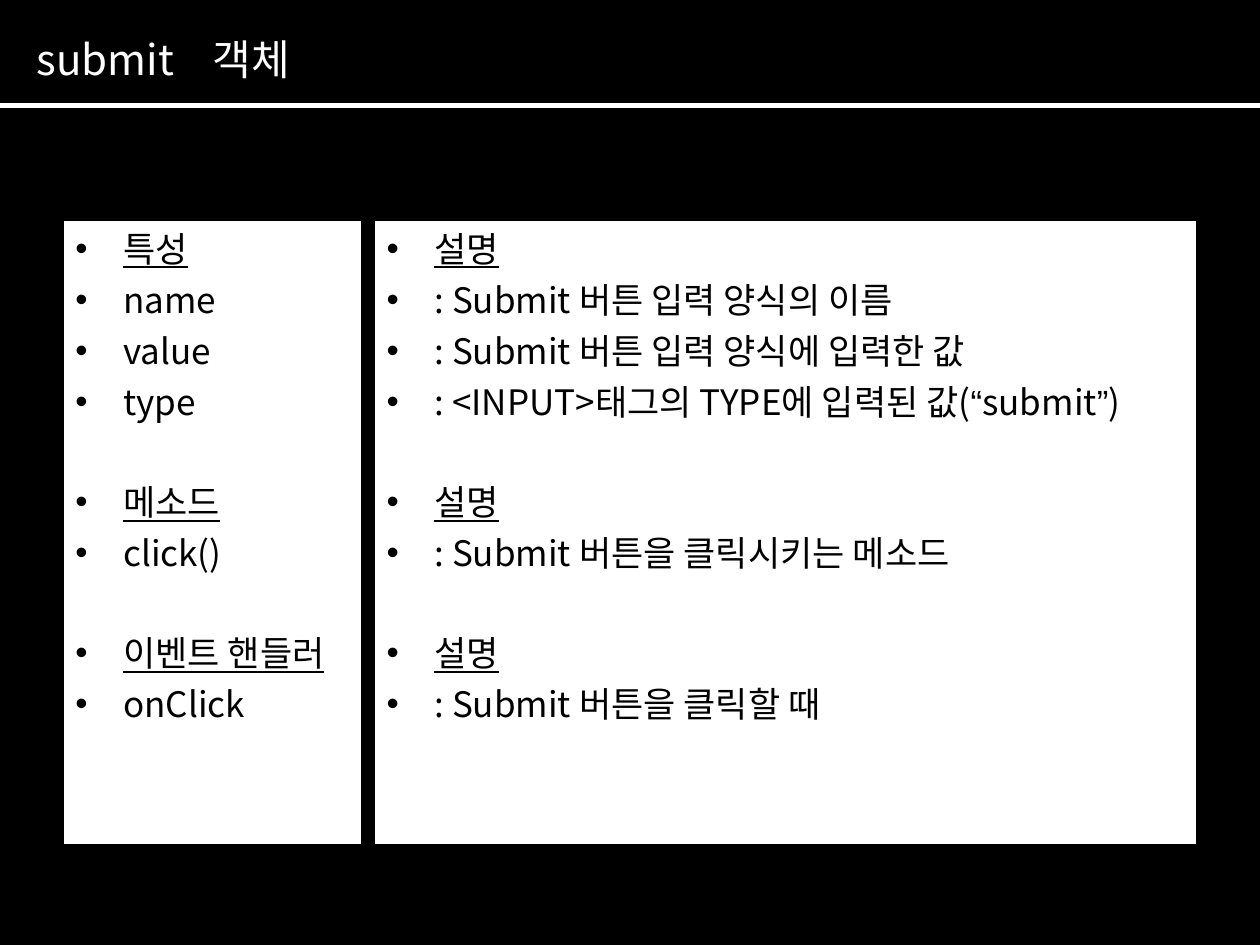
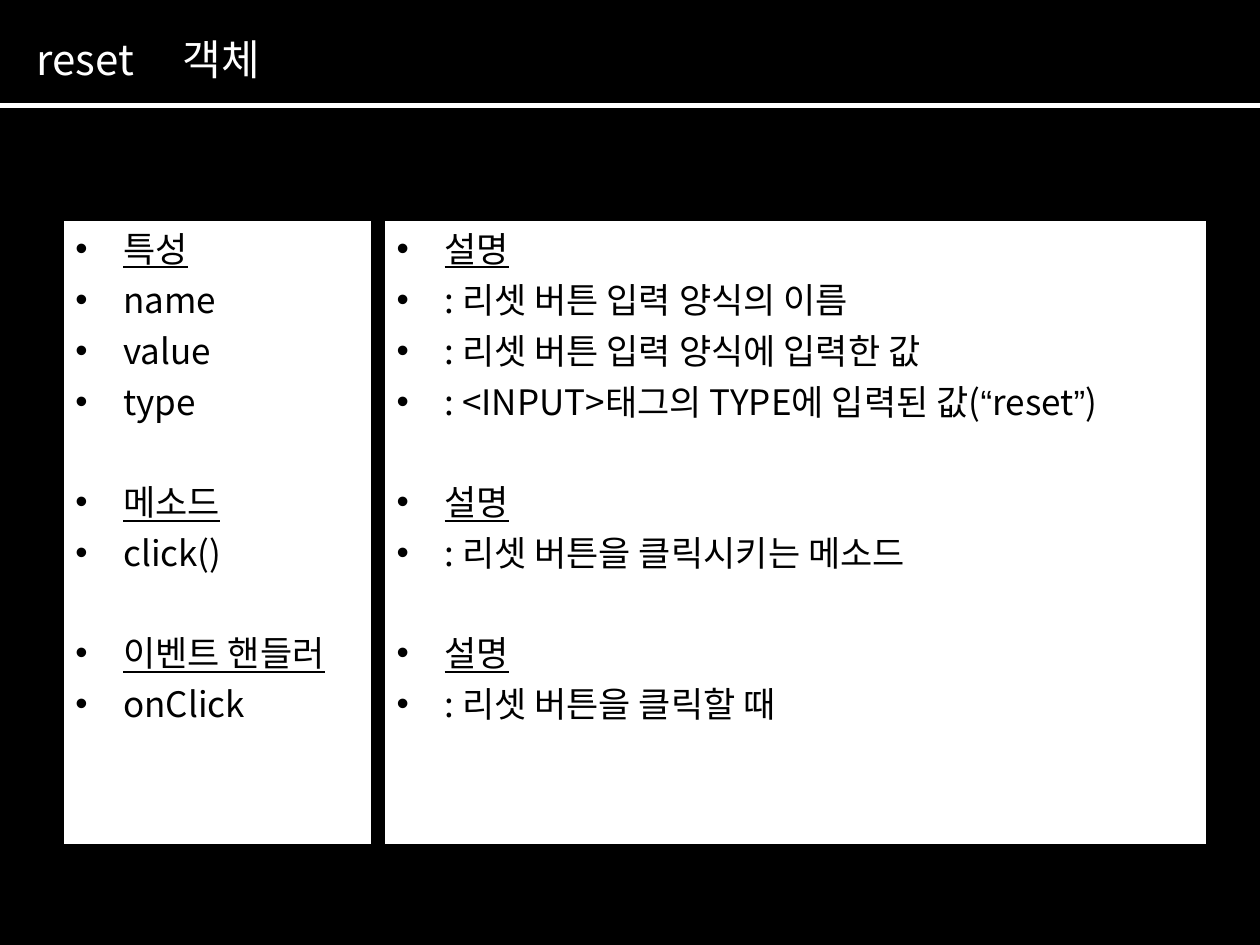
from itertools import groupby

from lxml import etree
from pptx import Presentation
from pptx import util as u
from pptx.dml.color import RGBColor
from pptx.enum import shapes, text
from pptx.oxml.ns import qn

WIDTH, HEIGHT = 10, 7.5
BLACK, WHITE = "000000", "FFFFFF"
FONT, QUOTE_FONT = "Noto Sans CJK KR", "Arial"
QUOTES = "“”"
TITLE_SIZE, BODY_SIZE = 24, 20
LINE_HEIGHT = 1.21          # line pitch as a share of the text size
ROW_GAP, SECTION_GAP = 5, 33  # points before a row, before a new section
INDENT = 0.38
TITLE_BOX = (0.19, 0.21, 7.64, 0.5)
RULE_TOP = 0.84
PANEL_LEFT, PANEL_TOP, PANEL_HEIGHT = 0.5, 1.75, 4.95
PANEL_GAP, DESCRIPTION_WIDTH = 0.1, 6.53

# Each section is a heading followed by its rows
MEMBERS = [
    ["특성", "name", "value", "type"],
    ["메소드", "click()"],
    ["이벤트 핸들러", "onClick"],
]


def color(value):
    return RGBColor.from_string(value)


def add_runs(para, words, size, ink, underline=False):
    """Add words run by run, with the curly quotes in their own font."""
    for is_quote, letters in groupby(words, lambda letter: letter in QUOTES):
        span = para.add_run()
        span.text = "".join(letters)
        font = span.font
        font.name = QUOTE_FONT if is_quote else FONT
        font.size = u.Pt(size)
        font.underline = underline
        font.color.rgb = color(ink)
        if not is_quote:
            east_asian = etree.SubElement(span._r.get_or_add_rPr(), qn("a:ea"))
            east_asian.set("typeface", FONT)
    para.line_spacing = u.Pt(size * LINE_HEIGHT)


def add_bullet(para):
    props = para._p.get_or_add_pPr()
    props.set("marL", str(u.Inches(INDENT)))
    props.set("indent", str(-u.Inches(INDENT)))
    for tag, key, value in (("a:buFont", "typeface", QUOTE_FONT),
                            ("a:buChar", "char", "•")):
        etree.SubElement(props, qn(tag)).set(key, value)


def add_tab_stop(para, place):
    stops = etree.SubElement(para._p.get_or_add_pPr(), qn("a:tabLst"))
    stop = etree.SubElement(stops, qn("a:tab"))
    stop.set("pos", str(u.Inches(place)))
    stop.set("algn", "l")


def prepare_frame(frame):
    frame.word_wrap = True
    frame.auto_size = text.MSO_AUTO_SIZE.NONE
    frame.vertical_anchor = text.MSO_ANCHOR.TOP
    frame.margin_left = frame.margin_right = u.Inches(0.1)
    frame.margin_top = frame.margin_bottom = u.Inches(0.05)


def add_header(page, name, tab_place):
    """Title and the rule below it."""
    title = page.shapes.title
    title.left, title.top, title.width, title.height = map(u.Inches, TITLE_BOX)
    prepare_frame(title.text_frame)
    para = title.text_frame.paragraphs[0]
    add_tab_stop(para, tab_place)
    para.alignment = text.PP_ALIGN.LEFT
    add_runs(para, f"{name}\t객체", TITLE_SIZE, WHITE)

    rule = page.shapes.add_connector(
        shapes.MSO_CONNECTOR.STRAIGHT,
        0, u.Inches(RULE_TOP), u.Inches(WIDTH), u.Inches(RULE_TOP))
    rule.line.color.rgb = color(WHITE)
    rule.line.width = u.Pt(3)
    etree.SubElement(rule._element.spPr, qn("a:effectLst"))


def add_panel(page, left, width, sections):
    """White panel of bulleted sections with underlined headings."""
    panel = page.shapes.add_shape(
        shapes.MSO_SHAPE.RECTANGLE,
        *map(u.Inches, (left, PANEL_TOP, width, PANEL_HEIGHT)))
    panel.shadow.inherit = False
    panel.fill.solid()
    panel.fill.fore_color.rgb = color(WHITE)
    panel.line.color.rgb = color(BLACK)
    panel.line.width = u.Pt(0.75)

    frame = panel.text_frame
    prepare_frame(frame)
    para = frame.paragraphs[0]
    for section_index, section in enumerate(sections):
        for row_index, words in enumerate(section):
            is_heading = row_index == 0
            if section_index or row_index:
                para = frame.add_paragraph()
                para.space_before = u.Pt(SECTION_GAP if is_heading else ROW_GAP)
            add_bullet(para)
            para.alignment = text.PP_ALIGN.LEFT
            add_runs(para, words, BODY_SIZE, BLACK, underline=is_heading)


def add_object_page(deck, name, label, tab_place, member_width):
    """One form object: its members on the left, their meaning on the right."""
    page = deck.slides.add_slide(deck.slide_layouts[5])
    add_header(page, name, tab_place)
    descriptions = [
        ["설명",
         f": {label} 버튼 입력 양식의 이름",
         f": {label} 버튼 입력 양식에 입력한 값",
         f": <INPUT>태그의 TYPE에 입력된 값(“{name}”)"],
        ["설명", f": {label} 버튼을 클릭시키는 메소드"],
        ["설명", f": {label} 버튼을 클릭할 때"],
    ]
    add_panel(page, PANEL_LEFT, member_width, MEMBERS)
    add_panel(page, PANEL_LEFT + member_width + PANEL_GAP,
              DESCRIPTION_WIDTH, descriptions)


def main():
    deck = Presentation()
    deck.slide_width, deck.slide_height = u.Inches(WIDTH), u.Inches(HEIGHT)

    # Black background shared by every slide
    backdrop = deck.slide_master.background.fill
    backdrop.solid()
    backdrop.fore_color.rgb = color(BLACK)

    add_object_page(deck, "submit", "Submit", tab_place=1.4, member_width=2.37)
    add_object_page(deck, "reset", "리셋", tab_place=1.16, member_width=2.45)
    deck.save("out.pptx")


if __name__ == "__main__":
    main()
